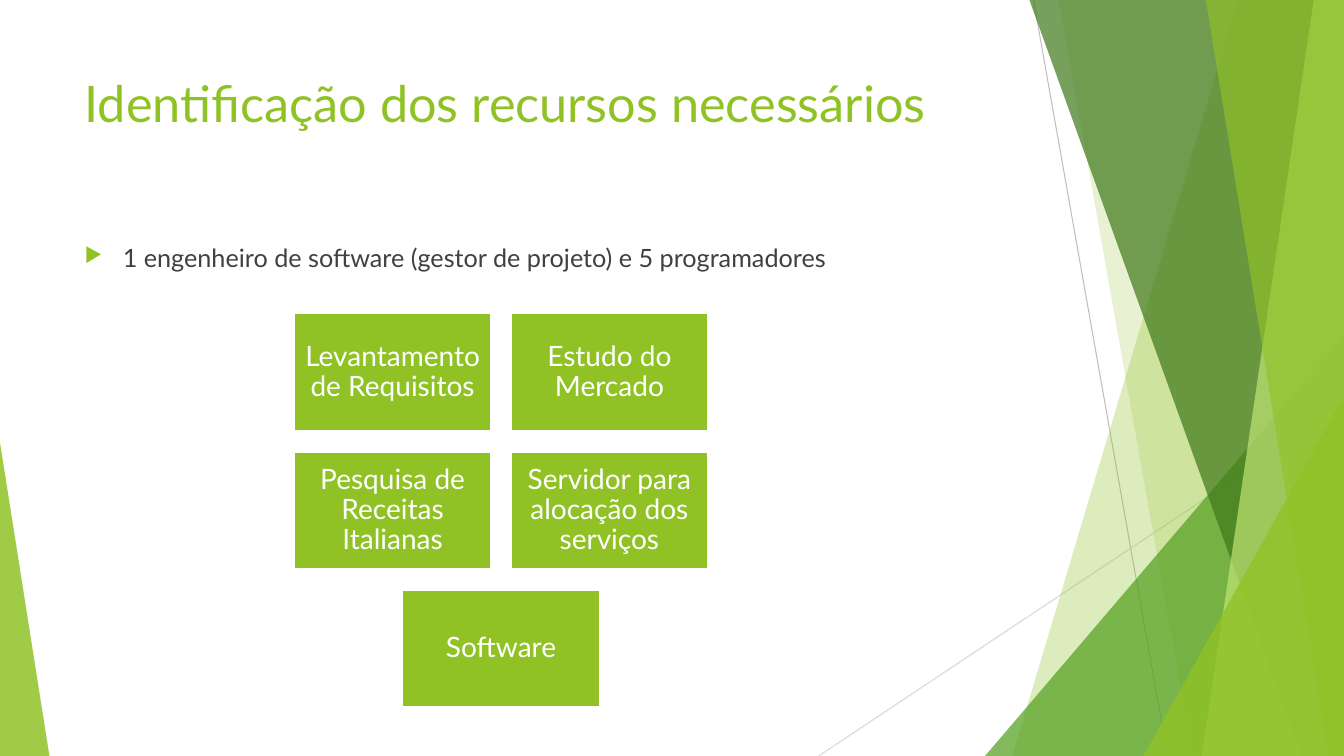
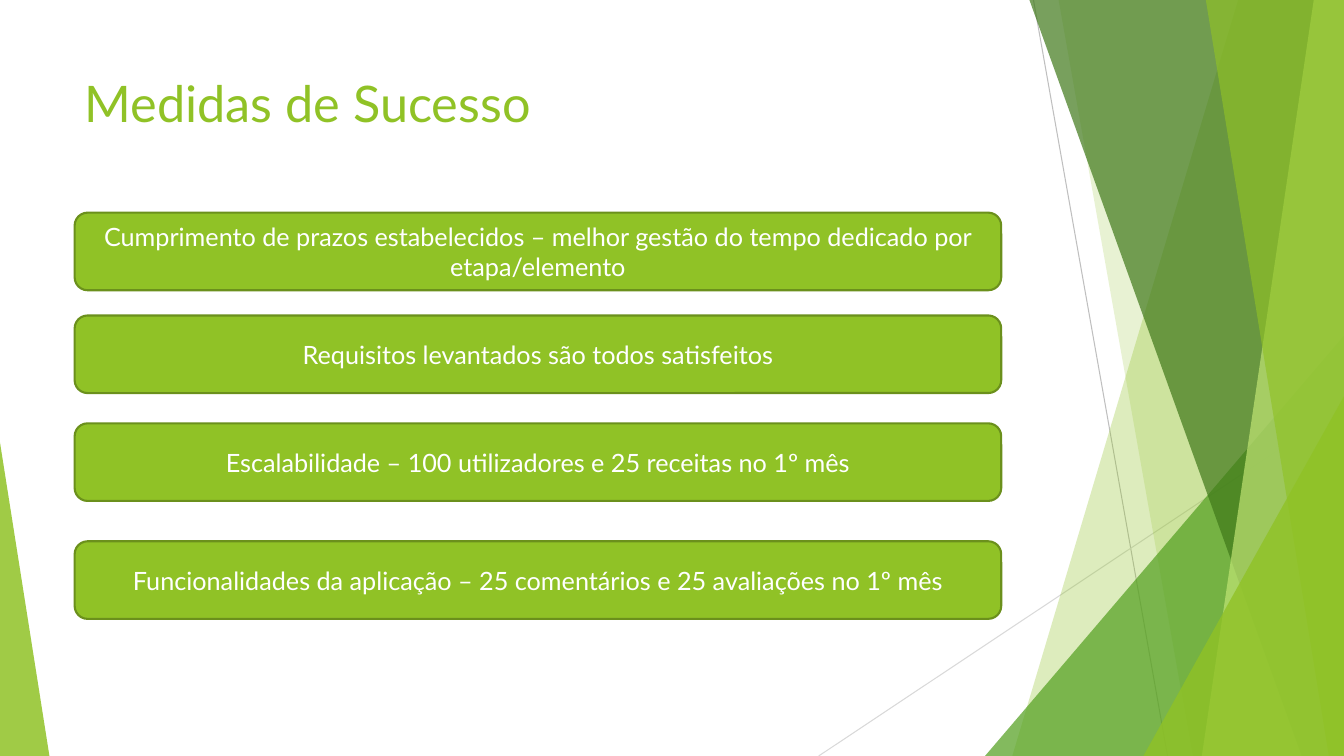
"""Build two slides on project resources and success measures over a green faceted background."""
from lxml import etree
from pptx import Presentation
from pptx.dml.color import RGBColor
from pptx.enum.shapes import MSO_CONNECTOR, MSO_SHAPE
from pptx.enum.text import MSO_ANCHOR, PP_ALIGN
from pptx.oxml.ns import qn
from pptx.util import Inches, Pt

GREEN = RGBColor(0x90, 0xC2, 0x26)
LEAF = RGBColor(0x54, 0xA0, 0x21)
FOREST = RGBColor(0x3F, 0x78, 0x19)
LIME = RGBColor(0xC0, 0xE4, 0x74)
OLIVE = RGBColor(0x6B, 0x90, 0x1C)
TEXT_GRAY = RGBColor(0x40, 0x40, 0x40)
MID_GRAY = RGBColor(0xBF, 0xBF, 0xBF)
LIGHT_GRAY = RGBColor(0xD9, 0xD9, 0xD9)
WHITE = RGBColor(0xFF, 0xFF, 0xFF)
FONT = "Lato"
WIDTH, HEIGHT = 13.33, 7.5
LEFT = 0.74

THIN_LINES = [
    (10.25, 0, 11.58, HEIGHT, MID_GRAY),
    (WIDTH, 4.03, 8.12, HEIGHT, LIGHT_GRAY),
]
BANDS_AND_TRIANGLES = [
    ("band", (12.28, 10.04), GREEN, 30),
    ("band", (10.5, 11.83), GREEN, 20),
    ("triangle", (9.77, 3.33, 3.56, 1), LEAF, 72),
    ("band", (10.21, 12.91), FOREST, 70),
    ("band", (13.03, 11.92), LIME, 70),
    ("band", (11.96, 13.18), GREEN, 65),
    ("triangle", (11.34, 3.93, 1.99, 1), GREEN, 80),
    ("triangle", (0, 4.39, 0.49, 0), GREEN, 85),
]


def write(shape, text, size, color, align=PP_ALIGN.LEFT, anchor=MSO_ANCHOR.TOP):
    frame = shape.text_frame
    frame.word_wrap = True
    frame.vertical_anchor = anchor
    frame.text = text
    para = frame.paragraphs[0]
    para.alignment = align
    for span in para.runs:
        span.font.name = FONT
        span.font.size = Pt(size)
        span.font.color.rgb = color
    return para


def add_page(deck, title):
    page = deck.slides.add_slide(deck.slide_layouts[6])
    for x1, y1, x2, y2, color in THIN_LINES:
        line = page.shapes.add_connector(
            MSO_CONNECTOR.STRAIGHT, Inches(x1), Inches(y1), Inches(x2), Inches(y2))
        line.line.color.rgb = color
        line.line.width = Pt(0.75)
        etree.SubElement(line._element.spPr, qn("a:effectLst"))
    for kind, geometry, color, opacity in BANDS_AND_TRIANGLES:
        if kind == "band":
            top_x, bottom_x = geometry
            builder = page.shapes.build_freeform(Inches(top_x), 0)
            corners = [(WIDTH, 0), (WIDTH, HEIGHT), (bottom_x, HEIGHT)]
            builder.add_line_segments([(Inches(x), Inches(y)) for x, y in corners])
            facet = builder.convert_to_shape()
        else:
            left, top, width, tip = geometry
            facet = page.shapes.add_shape(
                MSO_SHAPE.ISOSCELES_TRIANGLE,
                Inches(left), Inches(top), Inches(width), Inches(HEIGHT - top))
            facet.adjustments[0] = tip
        facet.shadow.inherit = False
        facet.fill.solid()
        facet.fill.fore_color.rgb = color
        facet.line.fill.background()
        fill_color = facet._element.spPr.find(qn("a:solidFill")).find(qn("a:srgbClr"))
        etree.SubElement(fill_color, qn("a:alpha"), val=str(opacity * 1000))
    box = page.shapes.add_textbox(Inches(LEFT), Inches(0.67), Inches(9.4), Inches(1.44))
    write(box, title, 36, GREEN)
    return page


deck = Presentation()
deck.slide_width = Inches(WIDTH)
deck.slide_height = Inches(HEIGHT)

page = add_page(deck, "Identificação dos recursos necessários")
box = page.shapes.add_textbox(Inches(LEFT), Inches(2.36), Inches(9.4), Inches(0.5))
para = write(box, "1 engenheiro de software (gestor de projeto) e 5 programadores", 18, TEXT_GRAY)
properties = para._p.get_or_add_pPr()
properties.set("marL", str(Inches(0.38)))
properties.set("indent", str(-Inches(0.38)))
bullet_color = etree.SubElement(properties, qn("a:buClr"))
etree.SubElement(bullet_color, qn("a:srgbClr"), val=str(GREEN))
etree.SubElement(properties, qn("a:buSzPct"), val="80000")
etree.SubElement(properties, qn("a:buChar"), char="▶")

TILE_WIDTH, TILE_HEIGHT = 1.96, 1.17
TILE_PITCH_X, TILE_PITCH_Y = 2.15, 1.37
TILES_CENTER, TILES_TOP = 4.97, 3.11
tile_rows = [
    ["Levantamento de Requisitos", "Estudo do Mercado"],
    ["Pesquisa de Receitas Italianas", "Servidor para alocação dos serviços"],
    ["Software"],
]
for row, labels in enumerate(tile_rows):
    row_left = TILES_CENTER - (TILE_PITCH_X * (len(labels) - 1) + TILE_WIDTH) / 2
    for column, label in enumerate(labels):
        tile = page.shapes.add_shape(
            MSO_SHAPE.RECTANGLE,
            Inches(row_left + column * TILE_PITCH_X), Inches(TILES_TOP + row * TILE_PITCH_Y),
            Inches(TILE_WIDTH), Inches(TILE_HEIGHT))
        tile.shadow.inherit = False
        tile.fill.solid()
        tile.fill.fore_color.rgb = GREEN
        tile.line.color.rgb = WHITE
        tile.line.width = Pt(1.5)
        frame = tile.text_frame
        frame.margin_left = frame.margin_right = Inches(0.08)
        frame.margin_top = frame.margin_bottom = Inches(0.08)
        para = write(tile, label, 20, WHITE, PP_ALIGN.CENTER, MSO_ANCHOR.MIDDLE)
        para.line_spacing = 0.9

page = add_page(deck, "Medidas de Sucesso")
measures = [
    (2.11, "Cumprimento de prazos estabelecidos – melhor gestão do tempo dedicado por etapa/elemento"),
    (3.13, "Requisitos levantados são todos satisfeitos"),
    (4.2, "Escalabilidade – 100 utilizadores e 25 receitas no 1º mês"),
    (5.37, "Funcionalidades da aplicação – 25 comentários e 25 avaliações no 1º mês"),
]
for top, measure in measures:
    bar = page.shapes.add_shape(
        MSO_SHAPE.ROUNDED_RECTANGLE, Inches(LEFT), Inches(top), Inches(9.19), Inches(0.77))
    bar.shadow.inherit = False
    bar.fill.solid()
    bar.fill.fore_color.rgb = GREEN
    bar.line.color.rgb = OLIVE
    bar.line.width = Pt(1.5)
    write(bar, measure, 18, WHITE, PP_ALIGN.CENTER, MSO_ANCHOR.MIDDLE)

deck.save("out.pptx")
